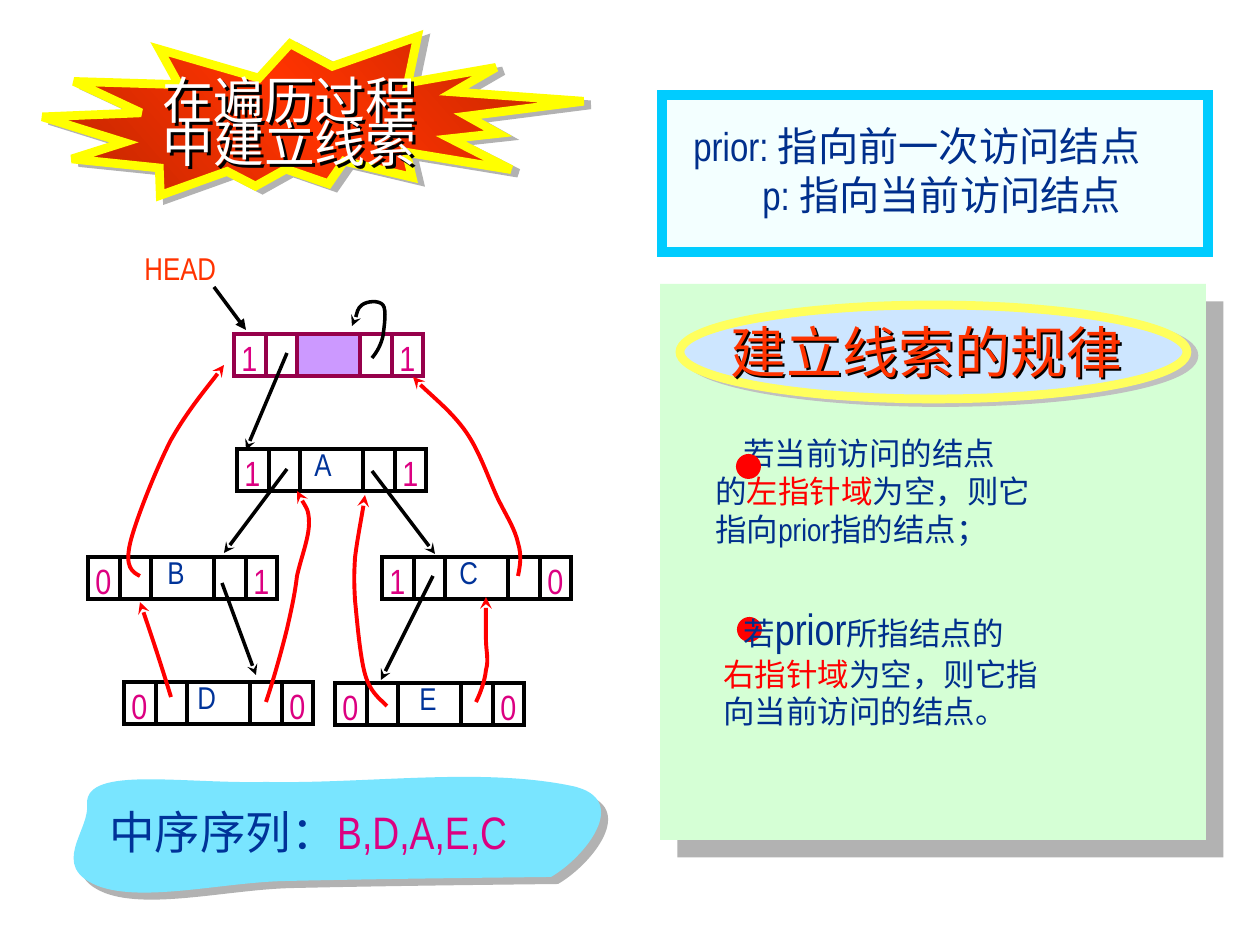
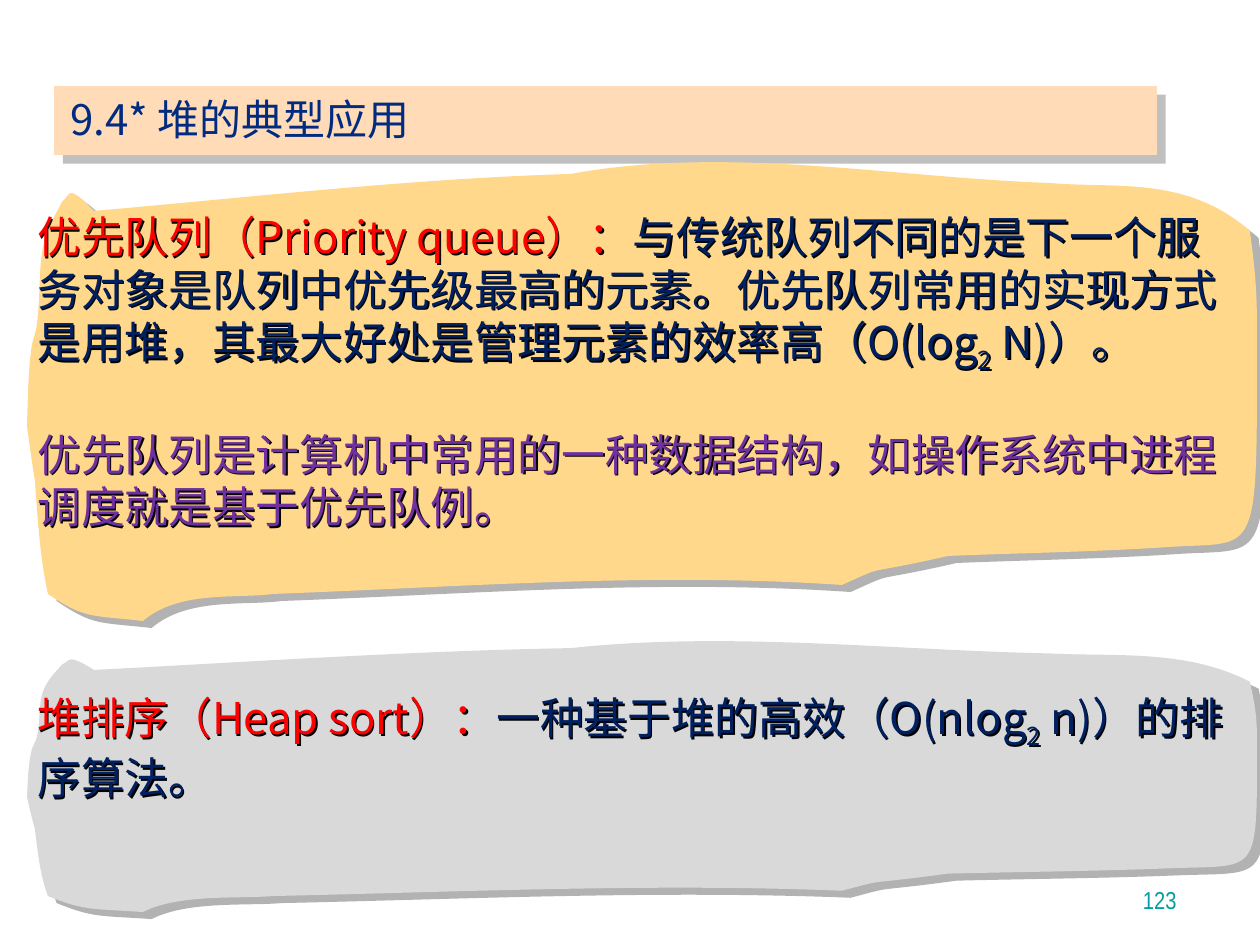
from copy import deepcopy

from lxml.etree import SubElement
from pptx import Presentation
from pptx.dml.color import RGBColor as RGB
from pptx.enum.shapes import MSO_CONNECTOR as CONN, MSO_SHAPE as SHAPE
from pptx.enum.text import MSO_ANCHOR as ANCHOR, MSO_AUTO_SIZE as AUTO, PP_ALIGN as ALIGN
from pptx.oxml.ns import qn
from pptx.util import Emu, Pt

SCALE = 914400 / 126
NARROW, CJK = "Arial Narrow", "Noto Sans CJK SC"

BLACK, WHITE, RED = RGB(0, 0, 0), RGB(255, 255, 255), RGB(255, 0, 0)
ORANGE, DARK_ORANGE = RGB(0xFF, 0x33, 0x00), RGB(0xB6, 0x24, 0x00)
BLUE, NAVY = RGB(0x00, 0x33, 0x99), RGB(0x00, 0x2F, 0x8C)
TITLE_BLUE, DEEP_NAVY = RGB(0x00, 0x2B, 0x80), RGB(0x00, 0x20, 0x60)
PINK, PURPLE, TEAL = RGB(0xDC, 0x00, 0x81), RGB(0x70, 0x30, 0xA0), RGB(0x00, 0x9E, 0xA1)
MAROON, LILAC = RGB(0x96, 0x00, 0x4B), RGB(0xCC, 0x99, 0xFF)
YELLOW, PALE_YELLOW = RGB(0xFF, 0xFF, 0x00), RGB(0xFF, 0xFF, 0x5D)
SKY, PALE_SKY, PALE_BLUE = RGB(0x00, 0xCC, 0xFF), RGB(0xF3, 0xFF, 0xFF), RGB(0xCD, 0xE6, 0xFF)
CYAN, GREEN, PEACH = RGB(0x79, 0xE5, 0xFF), RGB(0xD5, 0xFF, 0xD5), RGB(0xFF, 0xDB, 0xB7)
SAND, GRAY = RGB(0xFF, 0xD8, 0x8B), RGB(0xD9, 0xD9, 0xD9)
SHADE, LIGHT_SHADE = RGB(0xB2, 0xB2, 0xB2), RGB(0xC0, 0xC0, 0xC0)

# Curves: a start point, then three points for every Bezier segment.
BANNER_OUTLINE = [
    (39, 37), (43, 64), (0, 100), (50, 120), (95, 137), (176, 116), (239, 115),
    (328, 113), (416, 112), (503, 111), (536, 92), (585, 33), (524, 20),
    (433, 1), (320, 18), (218, 16), (134, 18), (39, 0), (39, 37)]
PATCH_HEIGHT = 476
PATCH_OUTLINE = [
    (35, 57), (39, 54), (42, 47), (45, 48), (53, 50), (67, 66), (67, 66),
    (228, 52), (381, 34), (544, 29), (701, 0), (869, 33), (1023, 38),
    (1087, 44), (1159, 30), (1223, 86), (1227, 118), (1230, 139), (1230, 179),
    (1230, 420), (1234, 396), (1142, 402), (1068, 407), (994, 408), (921, 411),
    (829, 432), (864, 418), (815, 440), (625, 427), (436, 442), (246, 449),
    (210, 454), (152, 445), (116, 476), (63, 470), (58, 474), (21, 449),
    (13, 412), (11, 377), (8, 336), (5, 318), (0, 281), (0, 281),
    (1, 256), (1, 231), (4, 207), (5, 195), (9, 189), (10, 179),
    (14, 151), (11, 117), (18, 95), (23, 78), (29, 69), (35, 57)]
HEAD_LOOP = [
    (290, 115), (295, 109), (299, 102), (301, 93), (302, 85), (305, 67), (301, 62),
    (297, 57), (285, 58), (280, 62), (275, 66), (273, 80), (270, 83)]
THREADS = [
    [(58, 333), (50, 329), (43, 324), (48, 301), (53, 279), (74, 226), (89, 197),
     (106, 167), (133, 135), (142, 122)],
    [(436, 333), (438, 323), (440, 313), (436, 300), (433, 286), (425, 274), (416, 256),
     (407, 237), (398, 209), (384, 189), (370, 169), (340, 145), (331, 134)],
    [(89, 454), (77, 415), (64, 376), (58, 359)],
    [(184, 459), (193, 432), (200, 406), (205, 386), (210, 364), (213, 350), (215, 333),
     (219, 315), (227, 295), (227, 280), (227, 266), (218, 255), (215, 248)],
    [(305, 463), (297, 455), (288, 449), (283, 431), (278, 413), (275, 377), (273, 357),
     (272, 338), (272, 333), (273, 315), (275, 298), (282, 262), (283, 252)],
    [(394, 459), (399, 449), (403, 437), (404, 427), (407, 417), (404, 408), (404, 396),
     (404, 383), (404, 361), (404, 354)]]
CHILD_LINKS = [
    ((205, 226), (142, 310)), ((290, 228), (353, 311)), ((140, 340), (174, 432)),
    ((351, 333), (299, 437)), ((205, 110), (164, 207))]
# Label, its shift in the data field, left tag, right tag, left, top
NODES = [("", 0, "1", "1", 152, 91), ("A", 2, "1", "1", 155, 206),
         ("B", 4, "0", "1", 6, 314), ("C", 2, "1", "0", 300, 314),
         ("D", -2, "0", "0", 42, 439), ("E", 9, "0", "0", 253, 440)]
FIELD_EDGES = [0, 32, 63, 126, 158, 189]


def px(n):
    return Emu(round(n * SCALE))


def box(*lengths):
    return [px(n) for n in lengths]


def style(sp, fill=None, line=None, width=0, shadow=None, dist=0, angle=45):
    """Set fill, line and hard shadow (dist in points, angle in degrees)."""
    sp.shadow.inherit = False
    if fill is None:
        sp.fill.background()
    else:
        sp.fill.solid()
        sp.fill.fore_color.rgb = fill
    if line is None:
        sp.line.fill.background()
    else:
        sp.line.color.rgb = line
        sp.line.width = Pt(width)
        SubElement(sp.element.spPr.find(qn("a:ln")), qn("a:miter"), lim="800000")
    if shadow is not None:
        attrs = {"blurRad": "0", "dist": str(Pt(dist)), "dir": str(angle * 60000),
                 "algn": "ctr", "rotWithShape": "0"}
        effects = sp.element.spPr.find(qn("a:effectLst"))
        SubElement(SubElement(effects, qn("a:outerShdw"), attrs),
                   qn("a:srgbClr"), val=str(shadow))
    return sp


def add_shape(s, kind, x, y, w, h, **look):
    return style(s.shapes.add_shape(kind, *box(x, y, w, h)), **look)


def add_arrowhead(sp, kind):
    SubElement(sp.element.spPr.find(qn("a:ln")), qn("a:tailEnd"), type=kind)


def arrow(s, x, y, start, end, head="stealth"):
    ends = box(x + start[0], y + start[1], x + end[0], y + end[1])
    c = s.shapes.add_connector(CONN.STRAIGHT, *ends)
    c.line.color.rgb = BLACK
    c.line.width = Pt(2)
    SubElement(c.element.spPr, qn("a:effectLst"))
    add_arrowhead(c, head)


def curve(s, x, y, points, close=False, stretch=1.0):
    """Freeform of Bezier segments; stretch scales it vertically."""
    points = [(px(x + a), px(y + b * stretch)) for a, b in points]
    builder = s.shapes.build_freeform(*points[0], scale=1.0)
    builder.add_line_segments(points[1:], close=close)
    sp = builder.convert_to_shape()
    outline = sp.element.spPr.find(".//" + qn("a:path"))
    steps = outline.findall(qn("a:lnTo"))[:len(points) - 1]
    for first, second, third in zip(steps[::3], steps[1::3], steps[2::3]):
        bezier = SubElement(outline, qn("a:cubicBezTo"))
        first.addprevious(bezier)
        for step in (first, second, third):
            bezier.append(step[0])
            outline.remove(step)
    return sp


def curved_arrow(s, x, y, points, color, width):
    add_arrowhead(style(curve(s, x, y, points), line=color, width=width), "stealth")


def write(sp, paras, size, font=NARROW, spacing=1.0, before=0, indent=0,
          anchor=ANCHOR.TOP, align=ALIGN.LEFT, shadow=0):
    """Fill a shape; a paragraph is a list of (text, colour[, size or "sub"])."""
    if shadow:
        style(sp, shadow=BLACK, dist=shadow)
    tf = sp.text_frame
    for name, value in {"word_wrap": True, "auto_size": AUTO.NONE,
                        "vertical_anchor": anchor}.items():
        setattr(tf, name, value)
    for i, runs in enumerate(paras):
        p = tf.add_paragraph() if i else tf.paragraphs[0]
        p.alignment = align
        p.line_spacing = spacing
        p.space_before = Pt(before if i else 0)
        if indent and not i:
            p._p.get_or_add_pPr().set("indent", str(px(indent)))
        for text, color, *extra in runs:
            r = p.add_run()
            r.text = text
            r.font.size = Pt(extra[0] if extra and extra[0] != "sub" else size)
            r.font.color.rgb = color
            r.font.name = font
            rPr = r.font._element
            SubElement(rPr, qn("a:ea"), typeface=CJK)
            if extra == ["sub"]:
                rPr.set("baseline", "-25000")


def add_text(s, x, y, w, h, paras, size, **fmt):
    write(s.shapes.add_textbox(*box(x, y, w, h)), paras, size, **fmt)


def place_title(s, x, y, w, h, lines, size, color, **fmt):
    """Put the title placeholder in front of what is drawn so far."""
    title = s.shapes.title
    title.left, title.top, title.width, title.height = box(x, y, w, h)
    write(title, [[(line, color)] for line in lines], size, **fmt)
    title.element.getparent().append(title.element)


def burst_title(s, x, y):
    sp = add_shape(s, SHAPE.EXPLOSION2, x, y, 539, 175, fill=ORANGE, line=YELLOW,
                   width=5, shadow=SHADE, dist=4.5, angle=27)
    sp.rotation = 3.7
    sp.fill.gradient()
    stops = sp.element.spPr.find(".//" + qn("a:gsLst"))
    stops.insert(1, deepcopy(stops[0]))
    colors = (DARK_ORANGE, ORANGE, DARK_ORANGE)
    for stop, position, color in zip(sp.fill.gradient_stops, (0, 0.5, 1), colors):
        stop.position = position
        stop.color.rgb = color
    sp.fill.gradient_angle = 45
    place_title(s, x + 107, y + 49, 388, 98, ["在遍历过程", "中建立线索"], 29, WHITE,
                spacing=0.7, shadow=2.5)


def tree_node(s, x, y, label, shift, left_tag, right_tag):
    line = BLACK if label else MAROON
    for i, (a, b) in enumerate(zip(FIELD_EDGES, FIELD_EDGES[1:])):
        fill = LILAC if i == 2 and not label else None
        add_shape(s, SHAPE.RECTANGLE, x + a, y, b - a, 42, fill=fill, line=line, width=2.25)
    if label:
        add_text(s, x + FIELD_EDGES[2] + shift, y - 10, 55, 63, [[(label, BLUE)]], 18)
    for edge, tag in ((0, left_tag), (FIELD_EDGES[4], right_tag)):
        add_text(s, x + edge - 5, y - 4, 43, 54, [[(tag, PINK)]], 20)


def threaded_tree(s, x, y):
    add_text(s, x + 50, y, 142, 50, [[("HEAD", ORANGE)]], 18)
    arrow(s, x, y, (132, 44), (164, 87), "triangle")
    for *fields, dx, dy in NODES:
        tree_node(s, x + dx, y + dy, *fields)
    for start, end in CHILD_LINKS:
        arrow(s, x, y, start, end)
    curved_arrow(s, x, y, HEAD_LOOP, BLACK, 2)
    for points in THREADS:
        curved_arrow(s, x, y, points, RED, 2.25)


def sequence_banner(s, x, y):
    style(curve(s, x, y, BANNER_OUTLINE, close=True), fill=CYAN, shadow=SHADE, dist=5.7)
    add_text(s, x + 49, y + 32, 504, 67, [[("中序序列：", BLUE), ("B,D,A,E,C", PINK)]], 26)


def pointer_legend(s, x, y):
    add_shape(s, SHAPE.RECTANGLE, x, y, 546, 157, fill=PALE_SKY, line=SKY, width=6)
    add_text(s, x + 19, y + 20, 509, 60, [[("prior: 指向前一次访问结点", NAVY)]], 23)
    add_text(s, x + 88, y + 69, 406, 60, [[("p: 指向当前访问结点", NAVY)]], 23)


def rules_panel(s, x, y):
    add_shape(s, SHAPE.RECTANGLE, x, y, 546, 556, fill=GREEN, shadow=SHADE, dist=14.1)
    add_shape(s, SHAPE.OVAL, x + 20, y + 21, 507, 94, fill=PALE_BLUE, line=PALE_YELLOW,
              width=5, shadow=LIGHT_SHADE, dist=4.5, angle=27)
    add_text(s, x + 58, y + 27, 475, 79, [[("建立线索的规律", ORANGE)]], 32, shadow=2)
    add_text(s, x + 43, y + 144, 504, 165, [
        [("若当前访问的结点", NAVY)],
        [("的", NAVY), ("左指针域", RED), ("为空，则它", NAVY)],
        [("指向prior指的结点；", NAVY)]], 18, indent=28)
    for dx, dy in ((76, 170), (77, 333)):
        add_shape(s, SHAPE.OVAL, x + dx, y + dy, 25, 25, fill=RED)
    add_text(s, x + 51, y + 312, 479, 166, [
        [("若", NAVY), ("prior", NAVY, 25), ("所指结点的", NAVY)],
        [("右指针域", RED), ("为空，则它指", NAVY)],
        [("向当前访问的结点。", NAVY)]], 18, indent=20)


def section_title(s, x, y):
    add_shape(s, SHAPE.RECTANGLE, x, y, 1103, 69, fill=PEACH, shadow=LIGHT_SHADE, dist=7.1)
    place_title(s, x + 4, y + 1, 1133, 64, ["9.4* 堆的典型应用"], 24, TITLE_BLUE, font=CJK)


def definition_patch(s, x, y, h, fill, text_top, paras):
    patch = curve(s, x, y, PATCH_OUTLINE, close=True, stretch=h / PATCH_HEIGHT)
    style(patch, fill=fill, shadow=SHADE, dist=6.4, angle=39)
    add_text(s, x - 2, y + text_top, 1212, h - text_top - 56, paras, 25, font=CJK,
             before=30, shadow=1.2)


def thread_slide(prs):
    s = prs.slides.add_slide(prs.slide_layouts[5])
    threaded_tree(s, 82, 243)
    sequence_banner(s, 48, 766)
    rules_panel(s, 660, 284)
    pointer_legend(s, 662, 95)
    burst_title(s, 43, 30)


def heap_slide(prs):
    s = prs.slides.add_slide(prs.slide_layouts[5])
    add_text(s, 927, 858, 262, 63, [[("123", TEAL)]], 14, anchor=ANCHOR.BOTTOM,
             align=ALIGN.RIGHT)
    section_title(s, 54, 86)
    definition_patch(s, 27, 145, PATCH_HEIGHT, SAND, 59, [
        [("优先队列（Priority queue）：", RED),
         ("与传统队列不同的是下一个服务对象是队列中优先级最高的元素。优先队列常用的"
          "实现方式是用堆，其最大好处是管理元素的效率高（O(log", DEEP_NAVY),
         ("2", DEEP_NAVY, "sub"), (" N)）。", DEEP_NAVY)],
        [("优先队列是计算机中常用的一种数据结构，如操作系统中进程调度就是基于优先队例。",
          PURPLE)]])
    definition_patch(s, 27, 631, 281, GRAY, 54, [
        [("堆排序（Heap sort）：", RED), ("一种基于堆的高效（O(nlog", DEEP_NAVY),
         ("2", DEEP_NAVY, "sub"), (" n)）的排序算法。", DEEP_NAVY)]])


def main():
    prs = Presentation()
    prs.slide_width, prs.slide_height = box(1260, 945)
    thread_slide(prs)
    heap_slide(prs)
    prs.save("out.pptx")


if __name__ == "__main__":
    main()
